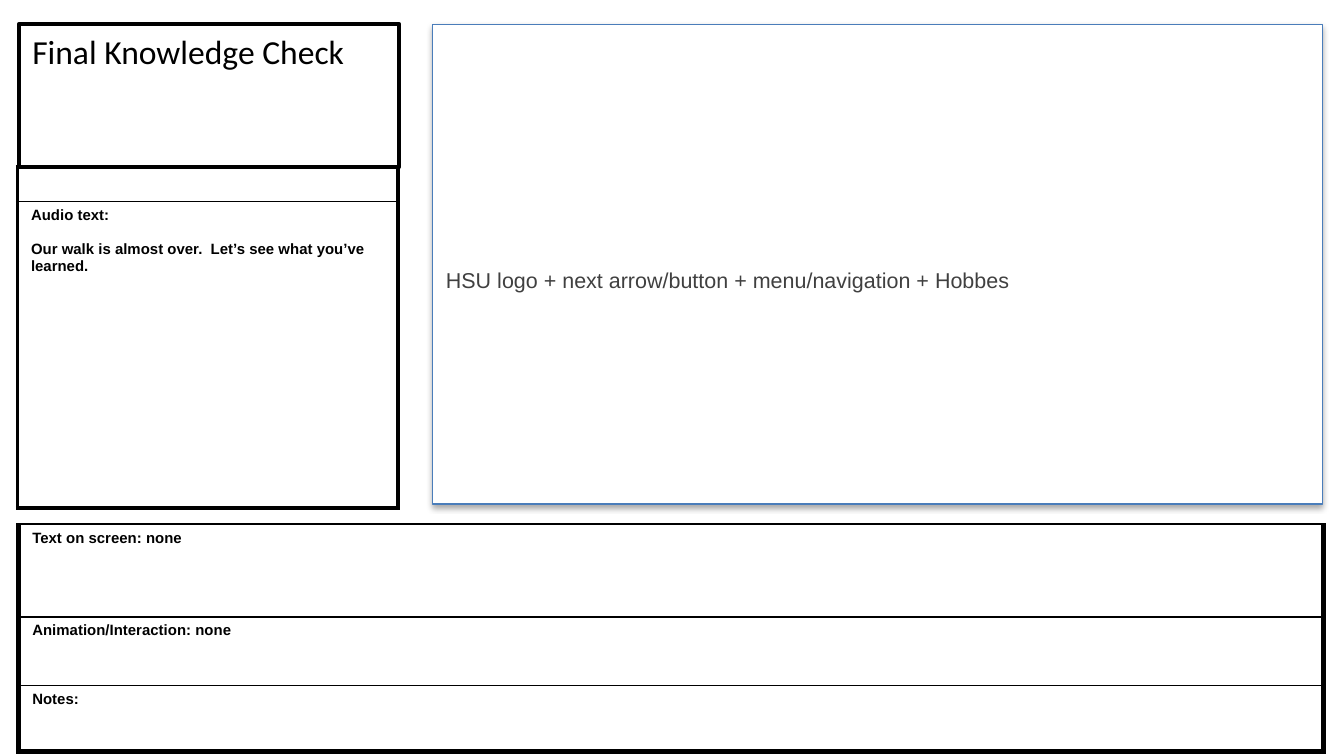
from dataclasses import dataclass

from lxml import etree
from pptx import Presentation
from pptx.dml.color import RGBColor
from pptx.enum.shapes import MSO_SHAPE
from pptx.enum.text import MSO_ANCHOR, MSO_AUTO_SIZE, PP_ALIGN
from pptx.oxml.ns import qn
from pptx.util import Pt

RECTANGLE = MSO_SHAPE.RECTANGLE
TOP, MIDDLE = MSO_ANCHOR.TOP, MSO_ANCHOR.MIDDLE
LEFT = PP_ALIGN.LEFT
NO_AUTOFIT = MSO_AUTO_SIZE.NONE

BLACK = RGBColor(0x00, 0x00, 0x00)
WHITE = RGBColor(0xFF, 0xFF, 0xFF)
GRAY = RGBColor(0x40, 0x40, 0x40)
BLUE = RGBColor(0x4A, 0x7D, 0xBA)

THIN = 1


@dataclass(frozen=True)
class Row:
    height: float
    paragraphs: tuple[str, ...] = ()


@dataclass(frozen=True)
class Grid:
    left: float
    top: float
    columns: tuple[float, ...]
    rows: tuple[Row, ...]
    side: float
    first: float


AUDIO = Grid(
    9.4, 89.3, (203.8,),
    (
        Row(18.7),
        Row(164.2, (
            "Audio text:",
            "Our walk is almost over.  Let’s see what you’ve learned.",
        )),
    ),
    side=2.25, first=2.25,
)
DETAILS = Grid(
    10.1, 280.8, (344.9, 354.2),
    (
        Row(49.7, ("Text on screen: none",)),
        Row(36.7, ("Animation/Interaction: none",)),
        Row(35.3, ("Notes:",)),
    ),
    side=3, first=THIN,
)


def write(frame, *paragraphs: str, font="Arial", size=8.0, color=BLACK,
          bold=False, gap=0.0, spacing=1.0) -> None:
    frame.word_wrap = True
    for index, text in enumerate(paragraphs):
        paragraph = frame.paragraphs[0] if index == 0 else frame.add_paragraph()
        paragraph.alignment = LEFT
        paragraph.line_spacing = spacing
        paragraph.space_before = Pt(gap if index else 0)
        run = paragraph.add_run()
        run.text = text
        run.font.name = font
        run.font.size = Pt(size)
        run.font.bold = bold
        run.font.color.rgb = color


def place(shape, left: float, top: float, width: float, height: float) -> None:
    shape.left, shape.top = Pt(left), Pt(top)
    shape.width, shape.height = Pt(width), Pt(height)


def frame_box(shape, line_color: RGBColor, line_width: float, anchor,
              top_inset: float):
    shape.fill.solid()
    shape.fill.fore_color.rgb = WHITE
    shape.line.color.rgb = line_color
    shape.line.width = Pt(line_width)
    frame = shape.text_frame
    frame.auto_size = NO_AUTOFIT
    frame.vertical_anchor = anchor
    frame.margin_left = frame.margin_right = Pt(7.2)
    frame.margin_top, frame.margin_bottom = Pt(top_inset), Pt(3.6)
    return frame


def add_shadow(shape, blur: float, distance: float, opacity: int) -> None:
    shape.shadow.inherit = False
    effects = shape._element.spPr.find(qn("a:effectLst"))
    shadow = etree.SubElement(
        effects, qn("a:outerShdw"), blurRad=str(Pt(blur)),
        dist=str(Pt(distance)), dir="5400000", rotWithShape="0")
    tint = etree.SubElement(shadow, qn("a:srgbClr"), val=str(BLACK))
    etree.SubElement(tint, qn("a:alpha"), val=str(opacity * 1000))


def set_borders(cell, **widths: float) -> None:
    properties = cell._tc.get_or_add_tcPr()
    for edge, width in widths.items():
        line = etree.SubElement(properties, qn(f"a:ln{edge}"), w=str(Pt(width)))
        fill = etree.SubElement(line, qn("a:solidFill"))
        etree.SubElement(fill, qn("a:srgbClr"), val=str(BLACK))


def add_grid(slide, grid: Grid) -> None:
    table = slide.shapes.add_table(
        len(grid.rows), len(grid.columns), Pt(grid.left), Pt(grid.top),
        Pt(sum(grid.columns)), Pt(sum(row.height for row in grid.rows))).table
    table.first_row = table.horz_banding = False
    for column, width in zip(table.columns, grid.columns):
        column.width = Pt(width)
    last = len(grid.rows) - 1
    for index, row in enumerate(grid.rows):
        table.rows[index].height = Pt(row.height)
        cells = table.rows[index].cells
        for cell in cells:
            set_borders(cell, L=grid.side, R=grid.side,
                        T=THIN if index else grid.first,
                        B=grid.side if index == last else THIN)
            cell.fill.background()
            cell.margin_left = cell.margin_right = Pt(7.2)
            cell.margin_top = cell.margin_bottom = Pt(2.9)
            end = cell.text_frame.paragraphs[0]._p.get_or_add_endParaRPr()
            end.set("sz", "800")
        label = table.cell(index, 0)
        if len(grid.columns) > 1:
            label.merge(table.cell(index, len(grid.columns) - 1))
        write(label.text_frame, *row.paragraphs, bold=True, gap=9.2)


def main() -> None:
    deck = Presentation()
    deck.slide_width, deck.slide_height = Pt(720), Pt(405)
    slide = deck.slides.add_slide(deck.slide_layouts[5])

    add_grid(slide, AUDIO)

    heading = slide.shapes.title
    place(heading, 10.1, 13, 203.8, 76.3)
    write(frame_box(heading, BLACK, 2.25, TOP, 3.6),
          "Final Knowledge Check", font="Calibri", size=18)

    add_grid(slide, DETAILS)

    screen = slide.shapes.add_shape(RECTANGLE, 0, 0, 0, 0)
    place(screen, 231.8, 13, 476.6, 257)
    add_shadow(screen, blur=3.1, distance=1.8, opacity=35)
    write(frame_box(screen, BLUE, 0.75, MIDDLE, 18.8),
          "HSU logo + next arrow/button + menu/navigation + Hobbes",
          size=11.5, color=GRAY, spacing=1.15)

    deck.save("out.pptx")


if __name__ == "__main__":
    main()
